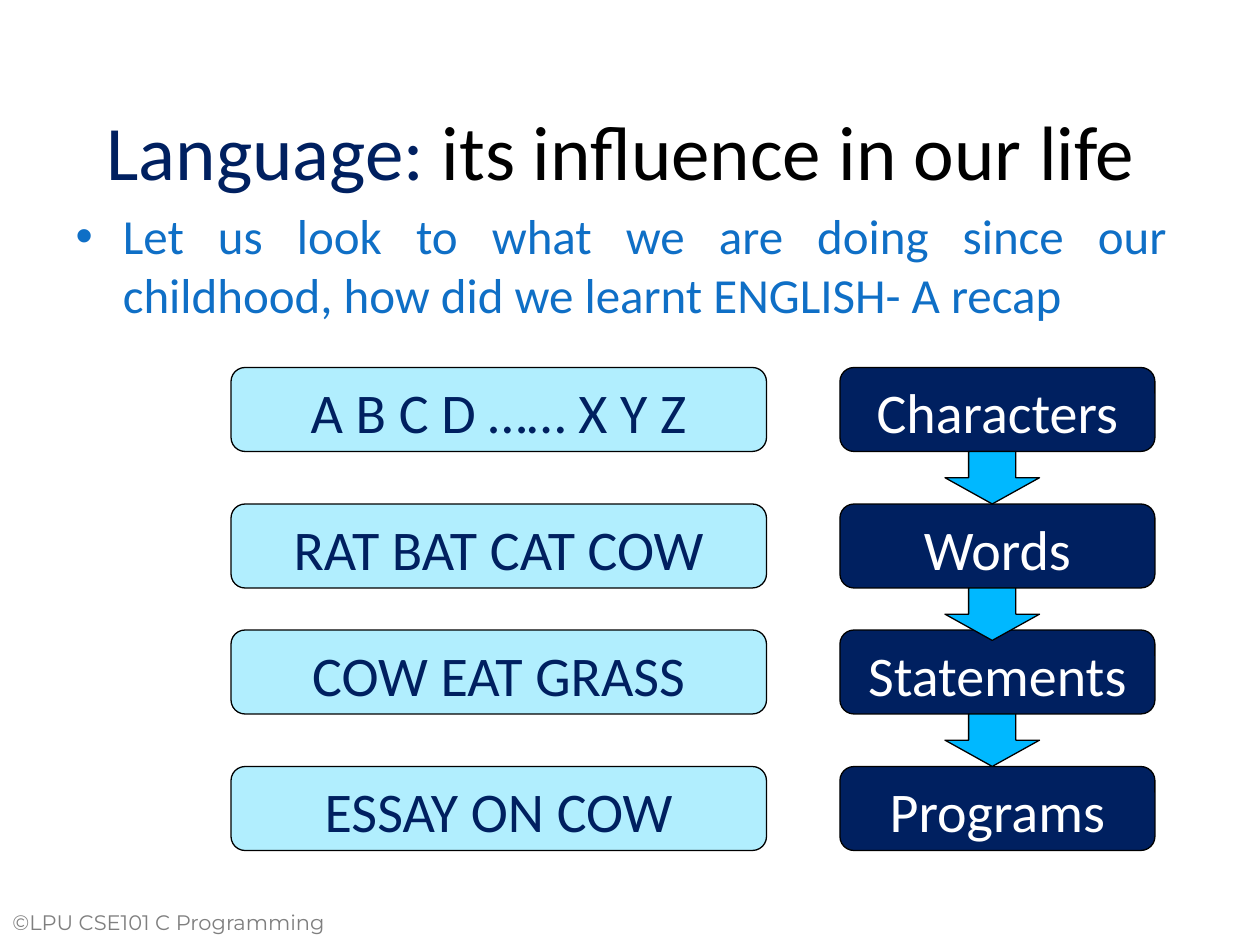
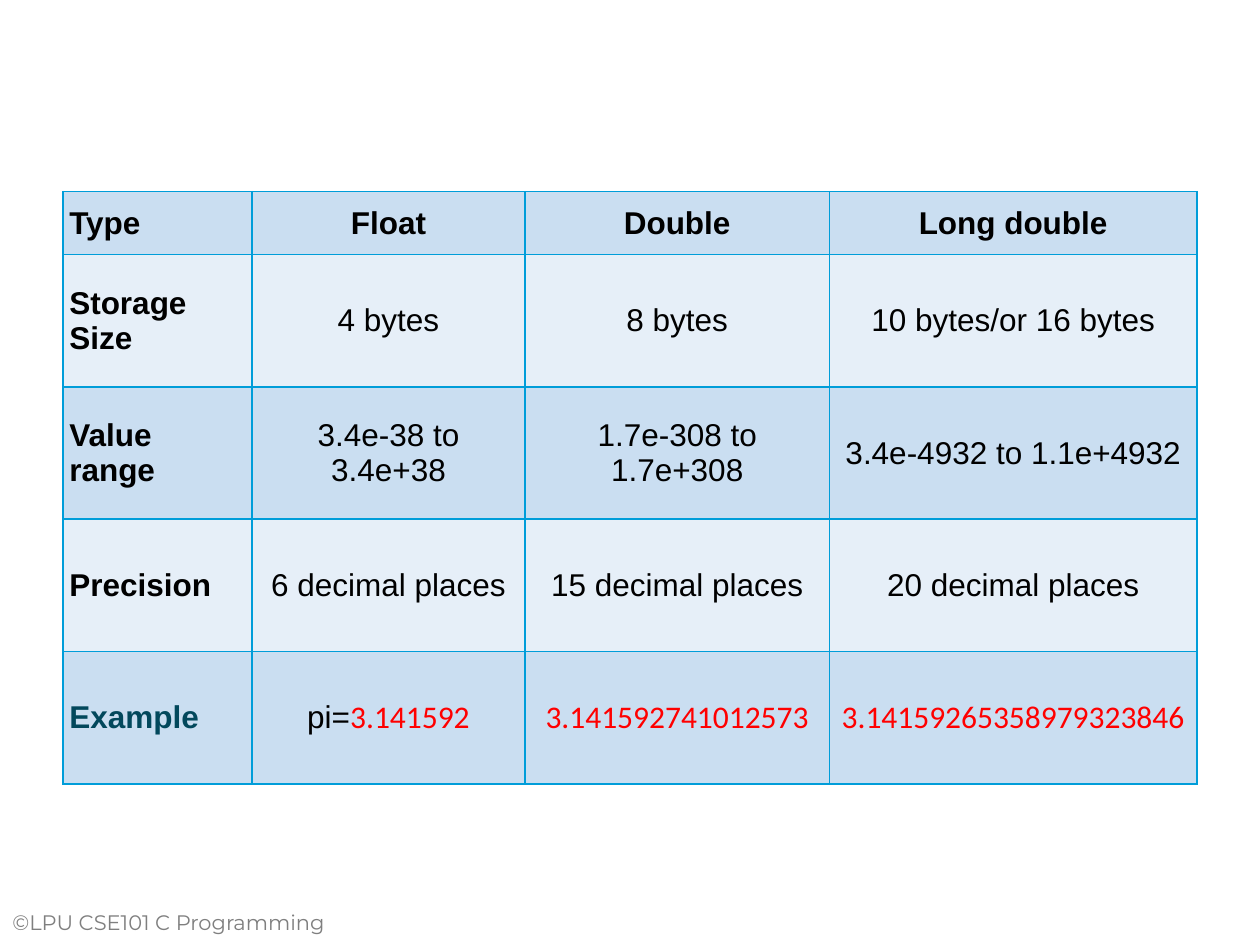
from dataclasses import dataclass

from lxml import etree
from pptx import Presentation
from pptx.dml.color import RGBColor
from pptx.enum.shapes import MSO_SHAPE
from pptx.enum.text import MSO_ANCHOR, PP_ALIGN
from pptx.oxml.ns import qn
from pptx.util import Emu, Inches, Pt

ROUNDED = MSO_SHAPE.ROUNDED_RECTANGLE
DOWN_ARROW = MSO_SHAPE.DOWN_ARROW
TOP, MIDDLE = MSO_ANCHOR.TOP, MSO_ANCHOR.MIDDLE
LEFT, CENTER, JUSTIFY = PP_ALIGN.LEFT, PP_ALIGN.CENTER, PP_ALIGN.JUSTIFY

BLACK = RGBColor(0x00, 0x00, 0x00)
WHITE = RGBColor(0xFF, 0xFF, 0xFF)
GREY = RGBColor(0x7F, 0x7F, 0x7F)
NAVY = RGBColor(0x00, 0x20, 0x60)
BLUE = RGBColor(0x0F, 0x6F, 0xC6)
ICE = RGBColor(0xB1, 0xEE, 0xFE)
SKY = RGBColor(0x00, 0xB8, 0xFF)
BORDER = RGBColor(0x00, 0x9D, 0xD9)
BAND_DARK = RGBColor(0xCA, 0xDE, 0xF1)
BAND_LIGHT = RGBColor(0xE6, 0xEF, 0xF8)
TEAL = RGBColor(0x02, 0x48, 0x5C)
RED = RGBColor(0xFF, 0x00, 0x00)

SLIDE_WIDTH, SLIDE_HEIGHT = Inches(10), Inches(7.5)
GRID_COLUMNS = 120
BOX_HEIGHT = 8
BOX_TOPS = (35, 48, 60, 73)
TABLE_COLUMNS = (18, 26, 29, 35)
TABLE_ROWS = (6, 12.6, 12.6, 12.6, 12.6)


@dataclass(frozen=True)
class TextStyle:
    size: float
    color: RGBColor
    name: str = "Calibri"
    bold: bool = False


@dataclass(frozen=True)
class BoxColumn:
    left: float
    width: float
    fill: RGBColor
    text_color: RGBColor
    labels: tuple[str, ...]


EXAMPLES = BoxColumn(22, 51, ICE, NAVY, (
    "A B C D …… X Y Z", "RAT BAT CAT COW", "COW EAT GRASS", "ESSAY ON COW"))
LEVELS = BoxColumn(80, 30, NAVY, WHITE, (
    "Characters", "Words", "Statements", "Programs"))

FLOAT_TYPES = (
    ("Type", "Float", "Double", "Long double"),
    ("Storage Size", "4 bytes", "8 bytes", "10 bytes/or 16 bytes"),
    ("Value range", "3.4e-38 to 3.4e+38", "1.7e-308 to 1.7e+308",
     "3.4e-4932 to 1.1e+4932"),
    ("Precision", "6 decimal places", "15 decimal places", "20 decimal places"),
    ("Example", "pi=3.141592", "3.141592741012573", "3.14159265358979323846"),
)


def grid(units: float) -> Emu:
    return Emu(round(SLIDE_WIDTH * units / GRID_COLUMNS))


def place(shape, left: float, top: float, width: float, height: float) -> None:
    shape.left, shape.top = grid(left), grid(top)
    shape.width, shape.height = grid(width), grid(height)


def set_font(font, style: TextStyle) -> None:
    font.name, font.size, font.bold = style.name, Pt(style.size), style.bold
    font.color.rgb = style.color


def write(text_frame, text: str, style: TextStyle, alignment=LEFT) -> None:
    text_frame.word_wrap = True
    paragraph = text_frame.paragraphs[0]
    paragraph.text = text
    paragraph.alignment = alignment
    set_font(paragraph.font, style)


def write_runs(paragraph, parts: tuple[tuple[str, TextStyle], ...]) -> None:
    paragraph.alignment = CENTER
    for text, style in parts:
        run = paragraph.add_run()
        run.text = text
        set_font(run.font, style)


def add_slide(presentation, layout_index: int):
    slide = presentation.slides.add_slide(presentation.slide_layouts[layout_index])
    footer = slide.shapes.add_textbox(grid(0), grid(86), grid(36), grid(5))
    write(footer.text_frame, "©LPU CSE101 C Programming",
          TextStyle(12, GREY, "Montserrat"))
    return slide


def add_block(shapes, kind, left: float, top: float, width: float,
              height: float, fill: RGBColor):
    shape = shapes.add_shape(kind, grid(left), grid(top), grid(width), grid(height))
    shape.shadow.inherit = False
    shape.fill.solid()
    shape.fill.fore_color.rgb = fill
    shape.line.color.rgb = BLACK
    shape.line.width = Pt(0.75)
    return shape


def add_boxes(shapes, column: BoxColumn) -> None:
    for top, label in zip(BOX_TOPS, column.labels):
        box = add_block(shapes, ROUNDED, column.left, top, column.width,
                        BOX_HEIGHT, column.fill)
        box.text_frame.vertical_anchor = TOP
        write(box.text_frame, label, TextStyle(32, column.text_color), CENTER)


def build_language_slide(presentation) -> None:
    slide = add_slide(presentation, 1)
    title, body = slide.shapes.title, slide.placeholders[1]
    place(title, 6, 7.5, 106.3, 13.5)
    title.text_frame.vertical_anchor = MIDDLE
    write_runs(title.text_frame.paragraphs[0], (
        ("Language: ", TextStyle(44, NAVY)),
        ("its influence in our life", TextStyle(44, BLACK))))

    place(body, 6, 19, 106.3, 57.8)
    paragraph = body.text_frame.paragraphs[0]
    paragraph.space_before = Pt(0)
    properties = paragraph._p.get_or_add_pPr()
    bullet_color = etree.SubElement(properties, qn("a:buClr"))
    etree.SubElement(bullet_color, qn("a:srgbClr"), val=str(BLUE))
    etree.SubElement(properties, qn("a:buChar"), char="•")
    write(body.text_frame, "Let us look to what we are doing since our childhood, "
          "how did we learnt ENGLISH- A recap", TextStyle(28, BLUE), JUSTIFY)

    add_boxes(slide.shapes, EXAMPLES)
    flow = slide.shapes.add_group_shape()
    add_boxes(flow.shapes, LEVELS)
    for top in BOX_TOPS[:-1]:
        add_block(flow.shapes, DOWN_ARROW, 90, top + BOX_HEIGHT, 9, 5, SKY)


def add_borders(cell) -> None:
    properties = cell._tc.get_or_add_tcPr()
    for side in ("lnL", "lnR", "lnT", "lnB"):
        line = etree.SubElement(properties, qn(f"a:{side}"), w=str(Pt(1)))
        fill = etree.SubElement(line, qn("a:solidFill"))
        etree.SubElement(fill, qn("a:srgbClr"), val=str(BORDER))


def fill_cell(cell, text: str, row: int, column: int) -> None:
    add_borders(cell)
    cell.fill.solid()
    cell.fill.fore_color.rgb = BAND_LIGHT if row % 2 else BAND_DARK
    cell.vertical_anchor = MIDDLE
    cell.margin_left = cell.margin_right = Inches(0.05)
    cell.margin_top = cell.margin_bottom = Inches(0.05)
    is_example = row == len(FLOAT_TYPES) - 1
    plain = TextStyle(18, BLACK, "Arial")
    number = TextStyle(18, RED)
    if column == 0:
        style = TextStyle(18, TEAL if is_example else BLACK, "Arial", True)
        write(cell.text_frame, text, style)
    elif is_example:
        prefix, equals, value = text.rpartition("=")
        parts = ((prefix + equals, plain), (value, number))
        write_runs(cell.text_frame.paragraphs[0],
                   tuple(part for part in parts if part[0]))
    else:
        style = TextStyle(18, BLACK, "Arial", row == 0)
        write(cell.text_frame, text, style, CENTER)


def build_float_types_slide(presentation) -> None:
    slide = add_slide(presentation, 6)
    table = slide.shapes.add_table(
        len(TABLE_ROWS), len(TABLE_COLUMNS), grid(6), grid(18.25),
        grid(sum(TABLE_COLUMNS)), grid(sum(TABLE_ROWS))).table
    for column, width in zip(table.columns, TABLE_COLUMNS):
        column.width = grid(width)
    for row, height in zip(table.rows, TABLE_ROWS):
        row.height = grid(height)
    for row_index, texts in enumerate(FLOAT_TYPES):
        for column_index, text in enumerate(texts):
            fill_cell(table.cell(row_index, column_index), text,
                      row_index, column_index)


def main() -> None:
    presentation = Presentation()
    presentation.slide_width = SLIDE_WIDTH
    presentation.slide_height = SLIDE_HEIGHT
    build_language_slide(presentation)
    build_float_types_slide(presentation)
    presentation.save("out.pptx")


if __name__ == "__main__":
    main()
